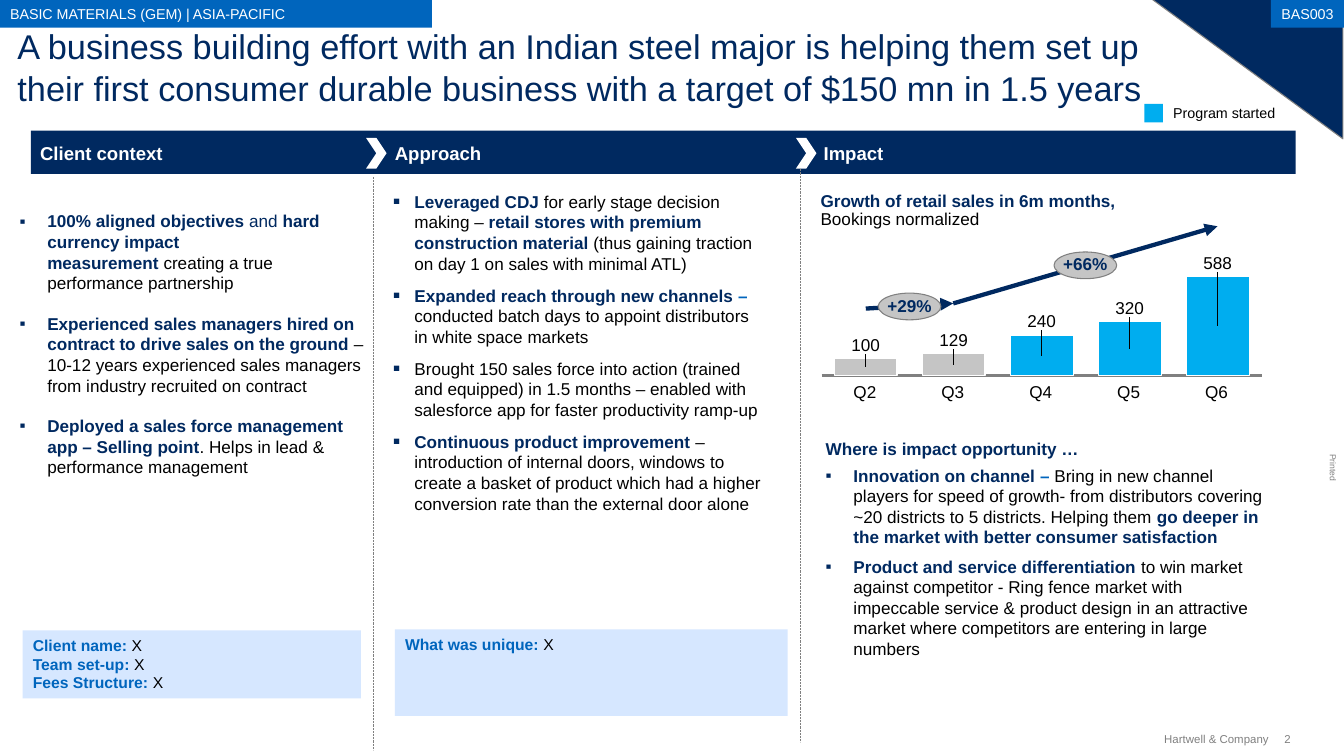
from lxml import etree
from pptx import Presentation
from pptx.chart.data import CategoryChartData
from pptx.dml.color import RGBColor
from pptx.enum.chart import XL_CHART_TYPE, XL_LABEL_POSITION, XL_TICK_LABEL_POSITION, XL_TICK_MARK
from pptx.enum.dml import MSO_LINE
from pptx.enum.shapes import MSO_CONNECTOR, MSO_SHAPE
from pptx.enum.text import MSO_ANCHOR, PP_ALIGN
from pptx.oxml import parse_xml
from pptx.oxml.ns import nsdecls, qn
from pptx.util import Inches, Pt

RECT, OVAL, CHEVRON = MSO_SHAPE.RECTANGLE, MSO_SHAPE.OVAL, MSO_SHAPE.CHEVRON
CORNER = MSO_SHAPE.RIGHT_TRIANGLE
STRAIGHT, DOTTED = MSO_CONNECTOR.STRAIGHT, MSO_LINE.ROUND_DOT
LEFT, CENTER, RIGHT = PP_ALIGN.LEFT, PP_ALIGN.CENTER, PP_ALIGN.RIGHT
TOP, MIDDLE, BOTTOM = MSO_ANCHOR.TOP, MSO_ANCHOR.MIDDLE, MSO_ANCHOR.BOTTOM
NO_LABELS, NO_TICKS = XL_TICK_LABEL_POSITION.NONE, XL_TICK_MARK.NONE

NAVY, BLUE, CYAN = RGBColor(0, 0x29, 0x60), RGBColor(0, 0x65, 0xBD), RGBColor(0, 0xAD, 0xEF)
PALE, SILVER = RGBColor(0xD6, 0xE7, 0xFF), RGBColor(0xC5, 0xC5, 0xC5)
GREY, BLACK, WHITE = RGBColor(0x80, 0x80, 0x80), RGBColor(0, 0, 0), RGBColor(255, 255, 255)
FONT = "Arial"

# Content: each paragraph is a list of (text, style) runs
STYLES = {"key": (NAVY, True), "navy": (NAVY, False), "body": (BLACK, False),
          "label": (BLUE, True), "grey": (GREY, False), "white": (WHITE, False),
          "head": (WHITE, True)}
TITLE = ("A business building effort with an Indian steel major is helping them set up "
         "their first consumer durable business with a target of $150 mn in 1.5 years")
HEADINGS = [("Client context", 0.39), ("Approach", 3.84), ("Impact", 8.01)]
CONTEXT = [
    [("100% aligned objectives ", "key"), ("and ", "navy"),
     ("hard currency impact\nmeasurement ", "key"),
     ("creating a true performance partnership", "body")],
    [("Experienced sales managers hired on contract to drive sales on the ground ", "key"),
     ("– 10-12 years experienced sales managers from industry recruited on contract", "body")],
    [("Deployed a sales force management app – Selling point", "key"),
     (". Helps in lead & performance management", "body")],
]
APPROACH = [
    [("Leveraged CDJ ", "key"), ("for early stage decision making – ", "body"),
     ("retail stores with premium construction material ", "key"),
     ("(thus gaining traction on day 1 on sales with minimal ATL)", "body")],
    [("Expanded reach through new channels ", "key"), ("– ", "label"),
     ("conducted batch days to appoint distributors in white space markets", "body")],
    [("Brought 150 sales force into action (trained and equipped) in 1.5 months – enabled "
      "with salesforce app for faster productivity ramp-up", "body")],
    [("Continuous product improvement ", "key"),
     ("– introduction of internal doors, windows to create a basket of product which had a "
      "higher conversion rate than the external door alone", "body")],
]
OPPORTUNITY = [
    [("Innovation on channel ", "key"), ("– ", "label"),
     ("Bring in new channel players for speed of growth- from distributors covering "
      "~20 districts to 5 districts. Helping them ", "body"),
     ("go deeper in the market with better consumer satisfaction", "key")],
    [("Product and service differentiation ", "key"),
     ("to win market against competitor - Ring fence market with impeccable service & product "
      "design in an attractive market where competitors are entering in large numbers", "body")],
]
CLIENT_FACTS = [[(name, "label"), ("X", "body")]
                for name in ("Client name: ", "Team set-up: ", "Fees Structure: ")]
UNIQUE = [[("What was unique: ", "label"), ("X", "body")]]
SALES = {"Q2": 100, "Q3": 129, "Q4": 240, "Q5": 320, "Q6": 588}
BEFORE_PROGRAM = 2  # quarters drawn in silver
GROWTH = [("+29%", (8.54, 2.85), (8.42, 3, 9.27, 2.95)),
          ("+66%", (10.25, 2.45), (9.27, 2.95, 11.84, 2.2))]
DIVIDERS = [(3.56, 3.63, 1.72), (7.74, 7.78, 1.64)]  # chevron x, line x, line top

prs = Presentation()
prs.slide_width, prs.slide_height = Inches(13.07), Inches(7.35)
slide = prs.slides.add_slide(prs.slide_layouts[6])
shapes = slide.shapes


def add_bullet(paragraph, indent, size_pct):
    props = paragraph._p.get_or_add_pPr()
    props.set("marL", str(Inches(indent)))
    props.set("indent", str(-Inches(indent)))
    color = etree.SubElement(props, qn("a:buClr"))
    etree.SubElement(color, qn("a:srgbClr"), val=str(NAVY))
    etree.SubElement(props, qn("a:buSzPct"), val=str(size_pct * 1000))
    etree.SubElement(props, qn("a:buFont"), typeface=FONT)
    etree.SubElement(props, qn("a:buChar"), char="▪")


def write(shape, paragraphs, size, align=LEFT, anchor=TOP, insets=(0, 0), wrap=True,
          bullet=None, before=0, after=0, spacing=1.0):
    frame = shape.text_frame
    frame.word_wrap, frame.vertical_anchor = wrap, anchor
    frame.margin_left = frame.margin_right = Inches(insets[0])
    frame.margin_top = frame.margin_bottom = Inches(insets[1])
    for i, runs in enumerate(paragraphs):
        p = frame.add_paragraph() if i else frame.paragraphs[0]
        if bullet:
            add_bullet(p, *bullet)
        p.alignment, p.line_spacing = align, spacing
        p.space_before, p.space_after = Pt(before), Pt(after)
        p.font.name, p.font.size = FONT, Pt(size)
        for text, style in runs:
            for n, line in enumerate(text.split("\n")):
                if n:
                    p.add_line_break()
                run = p.add_run()
                run.text = line
                run.font.color.rgb, run.font.bold = STYLES[style]


def add_text(box, paragraphs, size, **options):
    shape = shapes.add_textbox(*map(Inches, box))
    write(shape, paragraphs, size, **options)
    return shape


def add_block(kind, box, fill, outline=None):
    shape = shapes.add_shape(kind, *map(Inches, box))
    shape.shadow.inherit = False
    shape.fill.solid()
    shape.fill.fore_color.rgb = fill
    if outline:
        shape.line.color.rgb, shape.line.width = outline, Pt(0.75)
    else:
        shape.line.fill.background()
    return shape


def add_line(ends, color, width, dash=None, arrow=False):
    line = shapes.add_connector(STRAIGHT, *map(Inches, ends))
    line.line.color.rgb, line.line.width = color, Pt(width)
    if dash:
        line.line.dash_style = dash
    if arrow:
        etree.SubElement(line.line._get_or_add_ln(), qn("a:tailEnd"), type="triangle")
    etree.SubElement(line._element.spPr, qn("a:effectLst"))


def manual_layout(**values):
    items = "".join(f'<c:{k} val="{v}"/>' for k, v in values.items())
    return parse_xml(f'<c:layout {nsdecls("c")}><c:manualLayout>{items}</c:manualLayout></c:layout>')


# Page frame and title
add_text((12.83, 4.5, 0.27, 0.1), [[("Printed", "grey")]], 6, wrap=False).rotation = 90
add_block(CORNER, (11.2, -0.01, 1.86, 1.36), NAVY, GREY).rotation = 180
add_text((12.49, 7.12, 0.14, 0.13), [[("2", "grey")]], 8, anchor=MIDDLE, wrap=False)
add_text((11.23, 7.12, 1.11, 0.13), [[("Hartwell & Company", "grey")]], 8,
         align=RIGHT, anchor=MIDDLE, wrap=False)
add_text((0.17, 0.25, 11.27, 0.8), [[(TITLE, "navy")]], 24)
for tag, box, align in [("BAS003", (12.36, 0, 0.71, 0.27), CENTER),
                        ("BASIC MATERIALS (GEM) | ASIA-PACIFIC", (0, 0, 4.2, 0.27), LEFT)]:
    write(add_block(RECT, box, BLUE), [[(tag, "white")]], 10, align=align, anchor=MIDDLE,
          insets=(0.1, 0.05), wrap=align == LEFT)

# Column headings and dividers
add_block(RECT, (0.3, 1.27, 12.3, 0.42), NAVY)
for heading, x in HEADINGS:
    add_text((x, 1.36, 2.9, 0.24), [[(heading, "head")]], 13, anchor=BOTTOM)
for chevron_x, line_x, line_top in DIVIDERS:
    add_block(CHEVRON, (chevron_x, 1.34, 0.2, 0.3), WHITE)
    add_line((line_x, line_top, line_x, line_top + 5.57), GREY, 0.5, dash=DOTTED)

# Column texts
add_text((0.19, 2.05, 3.37, 2.61), CONTEXT, 12, bullet=(0.27, 100), before=6.1, after=8)
add_text((3.82, 1.86, 3.59, 3.16), APPROACH, 12, bullet=(0.21, 125), after=8)
add_text((8.03, 4.21, 4.34, 0.25), [[("Where is impact opportunity …", "key")]], 12, anchor=BOTTOM)
add_text((8.03, 4.52, 4.34, 2.61), OPPORTUNITY, 12, bullet=(0.27, 100), before=6.1)
for box, facts in [((0.22, 6.13, 3.29, 0.66), CLIENT_FACTS), ((3.84, 6.12, 3.82, 0.84), UNIQUE)]:
    write(add_block(RECT, box, PALE), facts, 11, insets=(0.1, 0.05))

# Chart heading and legend
add_text((7.98, 1.87, 4.19, 0.36), [[("Growth of retail sales in 6m months,\n", "key"),
                                     ("Bookings normalized", "body")]], 12, spacing=0.9)
add_block(RECT, (11.13, 1.01, 0.18, 0.18), CYAN)
add_text((11.41, 1.01, 1, 0.17), [[("Program started", "body")]], 10, wrap=False)

# Sales chart
data = CategoryChartData()
data.categories = list(SALES)
data.add_series("Sales", list(SALES.values()))
chart = shapes.add_chart(XL_CHART_TYPE.COLUMN_STACKED, *map(Inches, (7.9, 2.44, 4.46, 1.3)),
                         data).chart
chart.has_legend = chart.has_title = False
chart.font.name, chart.font.size, chart.font.color.rgb = FONT, Pt(12), BLACK
quarters, amounts = chart.category_axis, chart.value_axis
quarters.tick_label_position = NO_LABELS
quarters.major_tick_mark = quarters.minor_tick_mark = NO_TICKS
quarters.format.line.color.rgb, quarters.format.line.width = GREY, Pt(2.25)
peak = max(SALES.values())
amounts.minimum_scale, amounts.maximum_scale = 0, peak
amounts.has_major_gridlines = amounts.visible = False
plot = chart.plots[0]
plot.gap_width, plot.overlap, plot.vary_by_categories = 40, 100, False
bars = plot.series[0]
PLOT_HEIGHT = 0.737
for i, value in enumerate(SALES.values()):
    bar = bars.points[i]
    bar.format.fill.solid()
    bar.format.fill.fore_color.rgb = SILVER if i < BEFORE_PROGRAM else CYAN
    bar.format.line.color.rgb, bar.format.line.width = WHITE, Pt(0.75)
    bar.data_label.position = XL_LABEL_POSITION.CENTER
# Lift each label from the middle of its bar to just above it
for label, value in zip(bars._element.iter(qn("c:dLbl")), SALES.values()):
    lift = value / peak * PLOT_HEIGHT / 2 + 0.1
    label.insert(1, manual_layout(x=0, y=round(-lift, 2)))
bars._element.find(qn("c:dLbls")).append(parse_xml(
    f'<c:extLst {nsdecls("c")}><c:ext uri="{{CE6537A1-D6FC-4f65-9D91-7224C49458BB}}" '
    'xmlns:c15="http://schemas.microsoft.com/office/drawing/2012/chart">'
    '<c15:showLeaderLines val="1"/></c:ext></c:extLst>'))
area = chart._chartSpace.chart.plotArea
for layout in area.findall(qn("c:layout")):
    area.remove(layout)
area.insert(0, manual_layout(layoutTarget="inner", xMode="edge", yMode="edge",
                             x=0.02, y=0.193, w=0.96, h=PLOT_HEIGHT))

# Quarter names and growth arrows
for i, quarter in enumerate(SALES):
    add_text((8.3 + i * 0.855, 3.71, 0.24, 0.2), [[(quarter, "body")]], 12, wrap=False)
for _, _, ends in GROWTH:
    add_line(ends, NAVY, 3, arrow=True)
for rate, corner, _ in GROWTH:
    write(add_block(OVAL, (*corner, 0.61, 0.26), SILVER, GREY), [[(rate, "key")]], 12,
          align=CENTER, anchor=MIDDLE, wrap=False, spacing=0.9)

prs.save("out.pptx")
